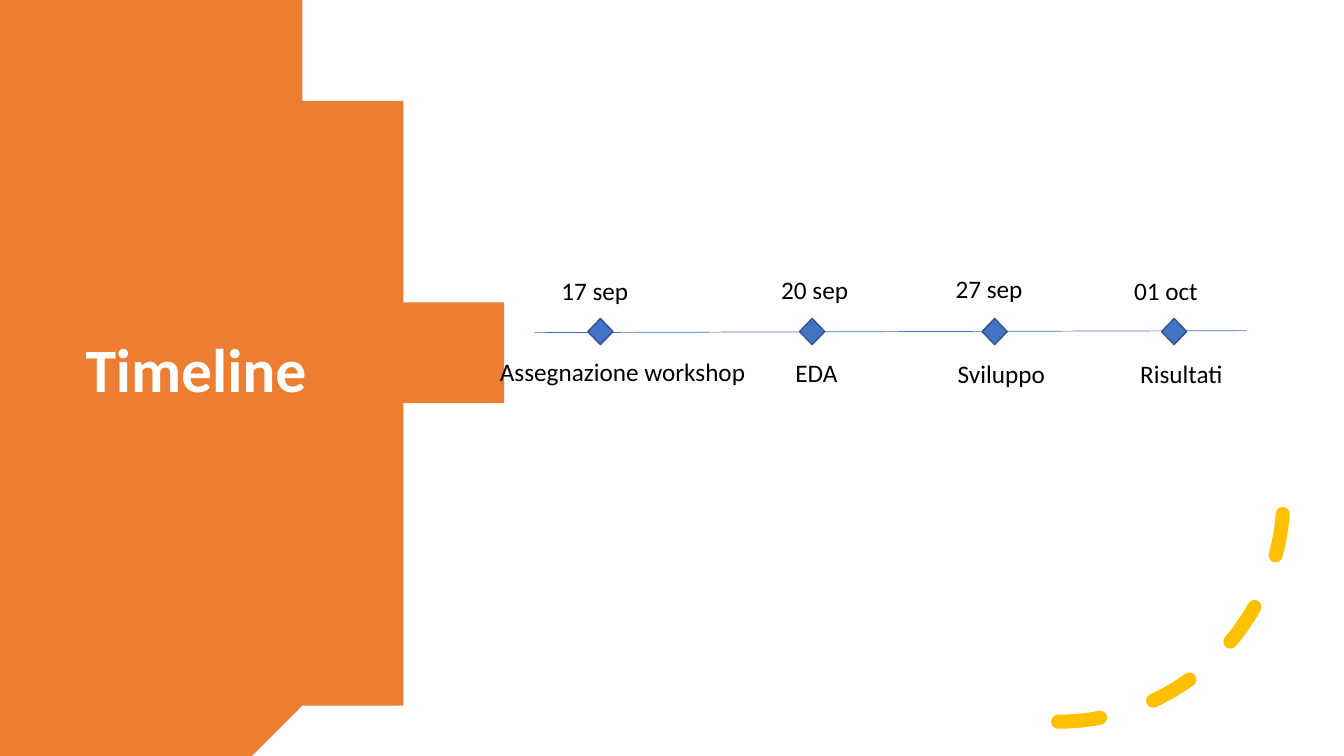
from math import asin, cos, sin

from lxml.etree import SubElement
from pptx import Presentation
from pptx.dml.color import RGBColor
from pptx.enum.dml import MSO_LINE
from pptx.enum.shapes import MSO_CONNECTOR, MSO_SHAPE
from pptx.enum.text import MSO_ANCHOR
from pptx.oxml.ns import qn
from pptx.util import Inches, Pt

WHITE = RGBColor(0xFF, 0xFF, 0xFF)
BLACK = RGBColor(0x00, 0x00, 0x00)
ORANGE = RGBColor(0xED, 0x7D, 0x31)
GOLD = RGBColor(0xFF, 0xC0, 0x00)
BLUE = RGBColor(0x44, 0x72, 0xC4)
DARK_BLUE = RGBColor(0x32, 0x54, 0x91)

SLIDE_WIDTH, SLIDE_HEIGHT = 13.33, 7.5


class TimelinePage:
    font_name = "Calibri"

    def __init__(self, deck):
        self.page = deck.slides.add_slide(deck.slide_layouts[6])

    def text(self, words, left, top, width, height, size=18, color=BLACK,
             bold=False, anchor=MSO_ANCHOR.TOP, line_spacing=1.0):
        box = self.page.shapes.add_textbox(*map(Inches, (left, top, width, height)))
        frame = box.text_frame
        frame.word_wrap = True
        frame.vertical_anchor = anchor
        para = frame.paragraphs[0]
        para.line_spacing = line_spacing
        span = para.add_run()
        span.text = words
        style = {"name": self.font_name, "size": Pt(size), "bold": bold}
        for key, value in style.items():
            setattr(span.font, key, value)
        span.font.color.rgb = color

    def circle_segment(self, center_x, center_y, radius, color, steps=120):
        """Part of a circle cut off by the left, top and bottom slide edges."""
        limit = asin(center_y / radius)
        angles = [limit * (2 * step / steps - 1) for step in range(steps + 1)]
        rim = [(center_x + radius * cos(angle), center_y + radius * sin(angle))
               for angle in angles]
        builder = self.page.shapes.build_freeform(0, 0, scale=Inches(1))
        builder.add_line_segments(rim + [(0, 2 * center_y)], close=True)
        segment = builder.convert_to_shape()
        segment.shadow.inherit = False
        segment.fill.solid()
        segment.fill.fore_color.rgb = color
        segment.line.fill.background()

    def dashed_arc(self, left, top, size, color, weight):
        arc = self.page.shapes.add_shape(
            MSO_SHAPE.ARC, *map(Inches, (left, top, size, size)))
        arc.shadow.inherit = False
        arc.fill.background()
        arc.line.color.rgb = color
        arc.line.width = Pt(weight)
        arc.line.dash_style = MSO_LINE.DASH
        # Round dash ends, and a flip to the lower right quarter
        properties = arc.element.spPr
        properties.find(qn("a:ln")).set("cap", "rnd")
        properties.find(qn("a:xfrm")).set("flipV", "1")

    def line(self, start, end, color, weight):
        axis = self.page.shapes.add_connector(
            MSO_CONNECTOR.STRAIGHT, *map(Inches, start + end))
        axis.line.color.rgb = color
        axis.line.width = Pt(weight)
        SubElement(axis.element.spPr, qn("a:effectLst"))

    def diamond(self, left, top, width, height):
        marker = self.page.shapes.add_shape(
            MSO_SHAPE.DIAMOND, *map(Inches, (left, top, width, height)))
        marker.shadow.inherit = False
        marker.fill.solid()
        marker.fill.fore_color.rgb = BLUE
        marker.line.color.rgb = DARK_BLUE
        marker.line.width = Pt(1)


def main():
    deck = Presentation()
    deck.slide_width = Inches(SLIDE_WIDTH)
    deck.slide_height = Inches(SLIDE_HEIGHT)
    timeline = TimelinePage(deck)

    # Title on the orange circle, and the corner arc
    timeline.circle_segment(0.15, SLIDE_HEIGHT / 2, 4.41, ORANGE)
    timeline.text("Timeline", 0.75, 1.26, 3.5, 4.88, size=44, color=WHITE,
                  bold=True, anchor=MSO_ANCHOR.MIDDLE, line_spacing=0.9)
    timeline.dashed_arc(8.26, 2.69, 4.47, GOLD, 10)

    # First step
    timeline.text("Assegnazione workshop", 4.86, 0.65, 7.55, 6.11,
                  anchor=MSO_ANCHOR.MIDDLE, line_spacing=0.9)

    # Axis with markers
    timeline.line((5.3, 3.3), (12.37, 3.28), BLUE, 0.5)
    for left in (5.83, 7.93, 9.74, 11.52):
        timeline.diamond(left, 3.16, 0.25, 0.26)

    # Dates above the axis, further steps below it
    labels = [
        ("17 sep", 5.47, 2.68, 1.23),
        ("20 sep", 7.65, 2.67, 0.91),
        ("27 sep", 9.38, 2.66, 1.23),
        ("01 oct", 11.15, 2.68, 1.0),
        ("EDA", 7.79, 3.5, 1.95),
        ("Sviluppo", 9.4, 3.51, 1.98),
        ("Risultati", 11.21, 3.51, 1.67),
    ]
    for words, left, top, width in labels:
        timeline.text(words, left, top, width, 0.4)

    deck.save("out.pptx")


if __name__ == "__main__":
    main()
